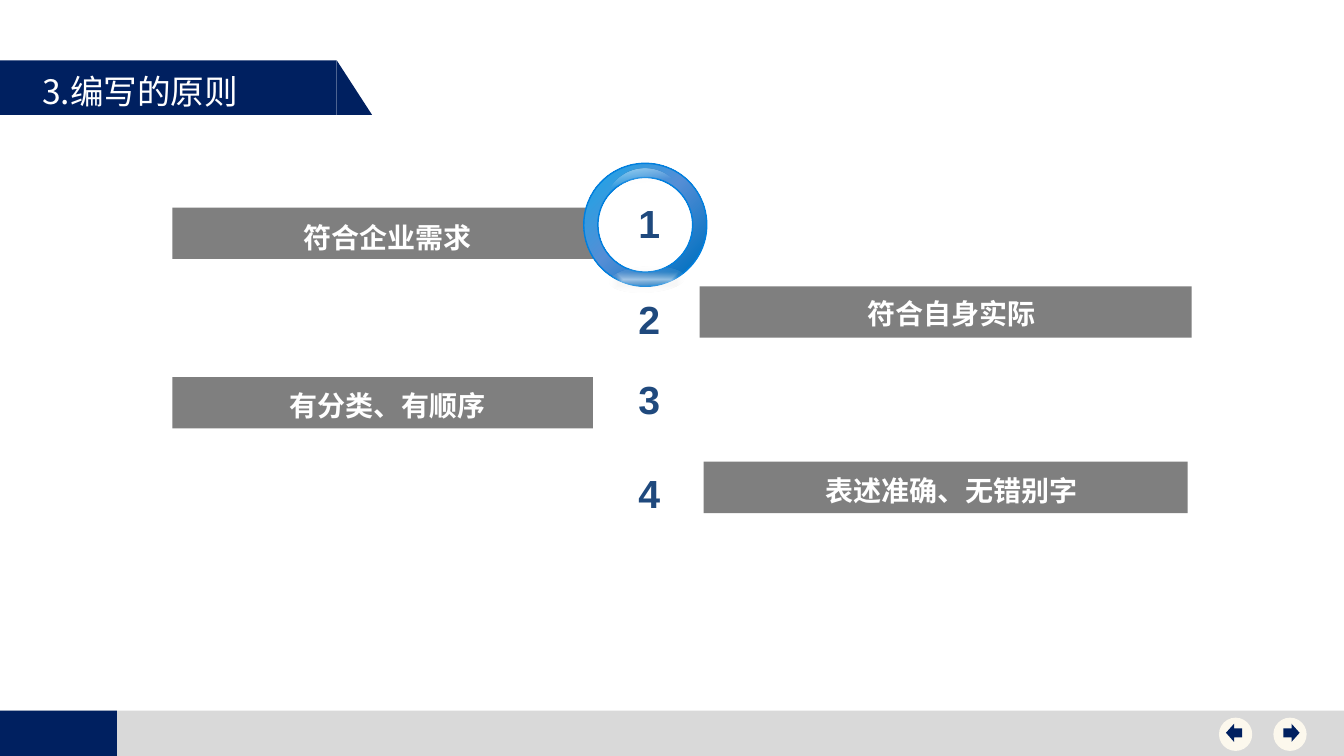
from dataclasses import dataclass

from lxml.etree import SubElement
from pptx import Presentation
from pptx.dml.color import RGBColor
from pptx.enum.shapes import MSO_SHAPE
from pptx.enum.text import PP_ALIGN
from pptx.oxml.ns import qn
from pptx.util import Inches, Pt


@dataclass(frozen=True)
class Theme:
    """Colours, fonts and type sizes of the slide."""
    navy: str = "002060"
    footer: str = "D9D9D9"
    button: str = "FCF8ED"
    bar: str = "7F7F7F"
    number: str = "1F497D"
    ring_line: str = "007FDE"
    white: str = "FFFFFF"
    ring: tuple = ((0, "00B0F0", 100), (47, "558ED5", 100), (82, "0070C0", 100))
    glow: tuple = ((0, "FFFFFF", 55), (50, "D7D7D7", 12), (100, "FFFFFF", 0))
    gloss: tuple = ((0, "FFFFFF", 0), (16, "FFFFFF", 51), (30, "FFFFFF", 0))
    chinese_font: str = "Noto Sans CJK SC"
    number_font: str = "Arial"
    title_size: int = 24
    number_size: int = 28
    label_size: int = 20


THEME = Theme()


def add_filled(slide, kind, box, colour):
    """Add a borderless preset shape in one colour."""
    shape = slide.shapes.add_shape(kind, *map(Inches, box))
    shape.shadow.inherit = False
    shape.fill.solid()
    shape.fill.fore_color.rgb = RGBColor.from_string(colour)
    shape.line.fill.background()
    return shape


def add_text(slide, box, text, size, colour, font, bold=False,
             align=PP_ALIGN.CENTER, spacing=1.0):
    """Add a one-paragraph text box."""
    frame = slide.shapes.add_textbox(*map(Inches, box)).text_frame
    frame.word_wrap = True
    paragraph = frame.paragraphs[0]
    paragraph.text = text
    paragraph.alignment = align
    paragraph.line_spacing = spacing
    paragraph.font.size = Pt(size)
    paragraph.font.bold = bold
    paragraph.font.color.rgb = RGBColor.from_string(colour)
    paragraph.font.name = font
    properties = paragraph._p.pPr.find(qn("a:defRPr"))
    SubElement(properties, qn("a:ea"), typeface=font)


def set_gradient(shape, stops, shade=None, focus=None):
    """Give a shape a path gradient, or a diagonal one when no path is named."""
    shape.fill.gradient()
    gradient = shape._element.spPr.find(qn("a:gradFill"))
    for child in list(gradient):
        gradient.remove(child)
    stop_list = SubElement(gradient, qn("a:gsLst"))
    for position, colour, opacity in stops:
        stop = SubElement(stop_list, qn("a:gs"), pos=str(position * 1000))
        value = SubElement(stop, qn("a:srgbClr"), val=colour)
        if opacity < 100:
            SubElement(value, qn("a:alpha"), val=str(opacity * 1000))
    if shade:
        path = SubElement(gradient, qn("a:path"), path=shade)
        sides = {side: str(percent * 1000) for side, percent in zip("ltrb", focus)}
        SubElement(path, qn("a:fillToRect"), **sides)
    else:
        SubElement(gradient, qn("a:lin"), ang=str(45 * 60000), scaled="0")


def add_title(slide, box, text):
    """Draw the title banner with its slanted end."""
    left, top, width, height = box
    slant = 0.35
    body = width - slant
    add_filled(slide, MSO_SHAPE.RECTANGLE, (left, top, body, height), THEME.navy)
    add_filled(slide, MSO_SHAPE.RIGHT_TRIANGLE,
               (left + body, top, slant, height), THEME.navy)
    add_text(slide, (left + 0.32, top + 0.05, width - 0.32, 0.5), text,
             THEME.title_size, THEME.white, THEME.chinese_font,
             align=PP_ALIGN.LEFT)


def add_footer(slide, box):
    """Draw the footer strip and its two navigation buttons."""
    left, top, width, height = box
    add_filled(slide, MSO_SHAPE.RECTANGLE, box, THEME.footer)
    add_filled(slide, MSO_SHAPE.RECTANGLE, (left, top, 1.16, height), THEME.navy)
    buttons = ((MSO_SHAPE.RIGHT_ARROW, 12.63, 0.1), (MSO_SHAPE.LEFT_ARROW, 12.09, 0.07))
    for arrow, offset, inset in buttons:
        add_filled(slide, MSO_SHAPE.OVAL,
                   (left + offset, top + 0.07, 0.33, 0.33), THEME.button)
        add_filled(slide, arrow,
                   (left + offset + inset, top + 0.13, 0.16, 0.18), THEME.navy)


def add_ring(slide, box):
    """Draw the glossy ring around the first number."""
    left, top, size, _ = box
    ring = add_filled(slide, MSO_SHAPE.DONUT, box, THEME.white)
    ring.adjustments[0] = 0.115
    ring.rotation = 21.1
    set_gradient(ring, THEME.ring, "circle", (0, 0, 100, 100))
    ring.line.color.rgb = RGBColor.from_string(THEME.ring_line)
    ring.line.width = Pt(1)
    glow = add_filled(slide, MSO_SHAPE.OVAL,
                      (left + 0.26, top + 1.03, 0.74, 0.25), THEME.white)
    glow.rotation = 356.5
    set_gradient(glow, THEME.glow, "shape", (50, 50, 50, 50))
    gloss = add_filled(slide, MSO_SHAPE.OVAL,
                       (left + (size - 0.8) / 2, top + 0.05, 0.8, 0.8), THEME.white)
    gloss.rotation = 36.3
    set_gradient(gloss, THEME.gloss)


def add_principles(slide, box, principles):
    """Draw the alternating bars, the ring, the numbers and the labels."""
    left, top, _, _ = box
    for _, _, bar, _ in principles:
        x, y, width = bar
        add_filled(slide, MSO_SHAPE.RECTANGLE,
                   (left + x, top + y, width, 0.51), THEME.bar)
    add_ring(slide, (left + 4.08, top, 1.22, 1.22))
    for number, (_, number_top, _, _) in enumerate(principles, start=1):
        add_text(slide, (left + 4.49, top + number_top, 0.48, 0.57), str(number),
                 THEME.number_size, THEME.number, THEME.number_font, bold=True)
    for text, _, _, label in principles:
        x, y, width = label
        add_text(slide, (left + x, top + y, width, 0.47), text, THEME.label_size,
                 THEME.white, THEME.chinese_font, bold=True, spacing=1.1)


def main():
    """Build and save the slide."""
    presentation = Presentation()
    presentation.slide_width = Inches(13.33)
    presentation.slide_height = Inches(7.5)
    slide = presentation.slides.add_slide(presentation.slide_layouts[6])
    add_footer(slide, (0, 7.05, 13.33, 0.45))
    add_title(slide, (0, 0.6, 3.69, 0.54), "3.编写的原则")
    add_principles(slide, (1.71, 1.62, 10.11, 3.56), (
        ("符合企业需求", 0.31, (0, 0.44, 4.21), (0.98, 0.49, 2.31)),
        ("符合自身实际", 1.26, (5.23, 1.22, 4.88), (6.57, 1.24, 2.31)),
        ("有分类、有顺序", 2.05, (0, 2.12, 4.17), (0.98, 2.15, 2.31)),
        ("表述准确、无错别字", 2.99, (5.27, 2.96, 4.8), (6.16, 3.0, 3.14)),
    ))
    presentation.save("out.pptx")


if __name__ == "__main__":
    main()
